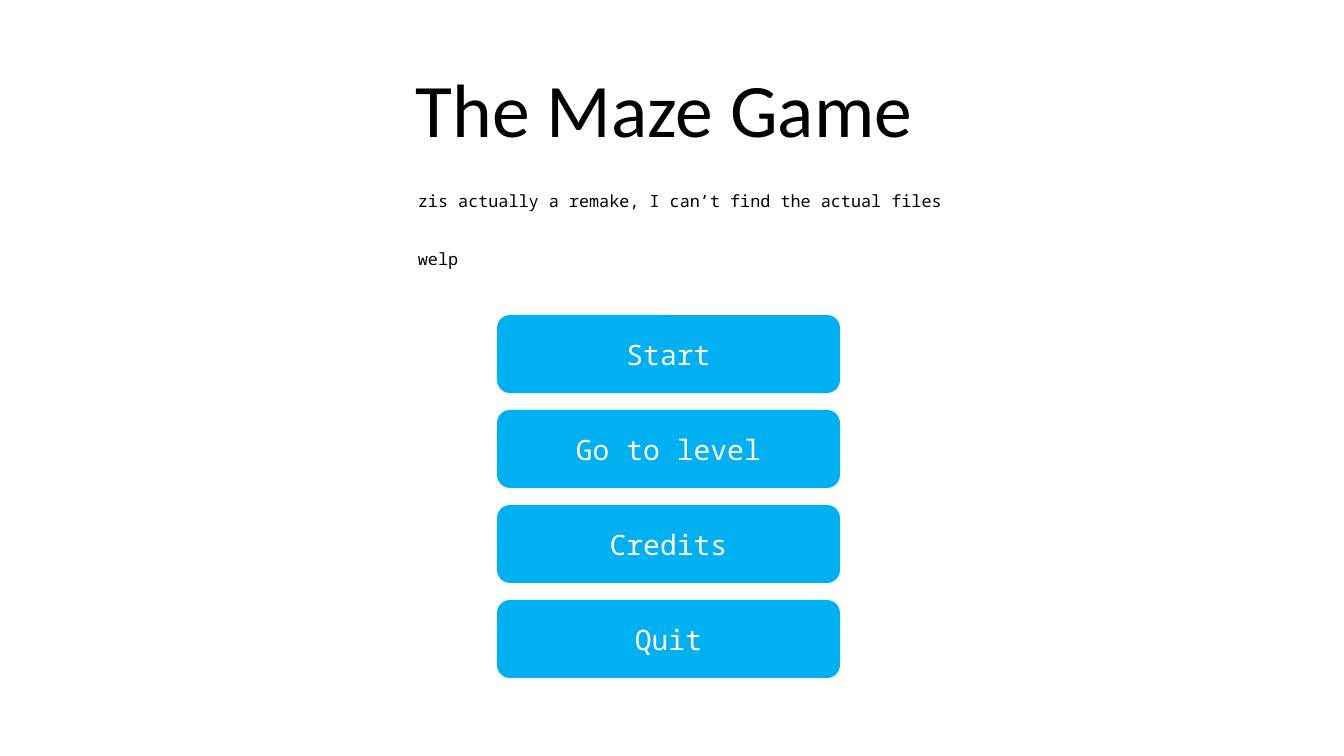
"""Builds the start menu slide of a maze game."""
import pptx
import pptx.dml.color
import pptx.enum.shapes
import pptx.enum.text
import pptx.util

TITLE = "The Maze Game"
NOTES = ["zis actually a remake, I can’t find the actual files", "welp"]
MENU = ["Start", "Go to level", "Credits", "Quit"]
MONO = "Noto Sans Mono"
BLACK, WHITE, BLUE = "000000", "FFFFFF", "00B0F0"
LEFT, TOP, WIDE, HIGH, GAP = 497, 315, 343, 78, 17
SCALE = 914400 / 100.8
ALIGN = pptx.enum.text.PP_ALIGN


def px(*sizes):
    return [round(size * SCALE) for size in sizes]


def color(code):
    return pptx.dml.color.RGBColor.from_string(code)


def write(shape, lines, font, size, code, align, gap=0):
    frame = shape.text_frame
    frame.text = "\n".join(lines)
    for row, para in enumerate(frame.paragraphs):
        para.alignment = align
        if row:
            para.space_before = pptx.util.Pt(gap)
        for run in para.runs:
            run.font.name = font
            run.font.size = pptx.util.Pt(size)
            run.font.color.rgb = color(code)


def label(box, *style):
    shape = slide.shapes.add_textbox(*px(*box))
    shape.text_frame.word_wrap = False
    shape.text_frame.auto_size = pptx.enum.text.MSO_AUTO_SIZE.SHAPE_TO_FIT_TEXT
    write(shape, *style)


def button(box, text):
    kind = pptx.enum.shapes.MSO_SHAPE.ROUNDED_RECTANGLE
    shape = slide.shapes.add_shape(kind, *px(*box))
    shape.shadow.inherit = False
    shape.fill.solid()
    shape.fill.fore_color.rgb = color(BLUE)
    shape.line.fill.background()
    shape.text_frame.vertical_anchor = pptx.enum.text.MSO_ANCHOR.MIDDLE
    write(shape, [text], MONO, 20, WHITE, ALIGN.CENTER)


deck = pptx.Presentation()
deck.slide_width, deck.slide_height = px(1344, 756)
slide = deck.slides.add_slide(deck.slide_layouts[6])

label((403, 57, 522, 102), [TITLE], "Calibri", 54, BLACK, ALIGN.CENTER)
label((408, 186, 553, 92), NOTES, MONO, 12, BLACK, ALIGN.LEFT, 27)
for step, text in enumerate(MENU):
    button((LEFT, TOP + step * (HIGH + GAP), WIDE, HIGH), text)

deck.save("out.pptx")
